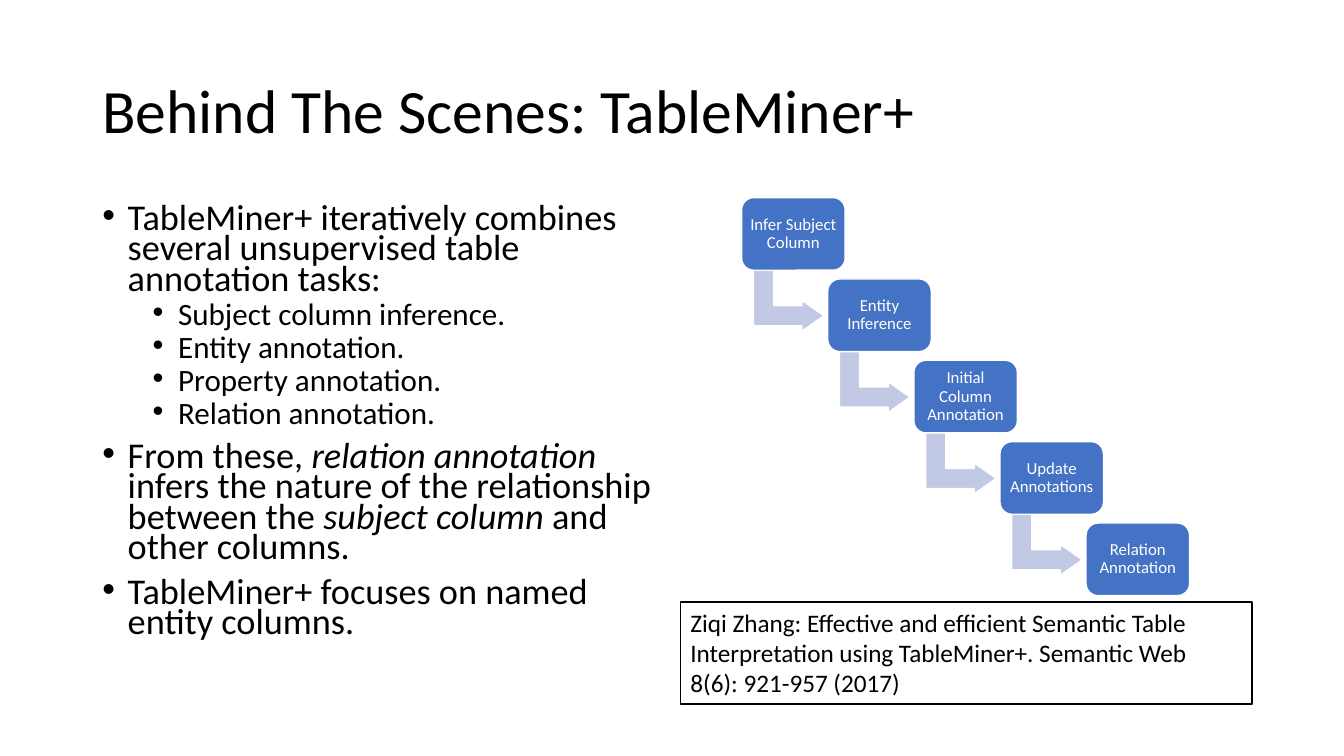
from pptx import Presentation, util as u
from pptx.dml.color import RGBColor
from pptx.enum import shapes, text
from pptx.oxml.ns import qn
from lxml import etree

BLACK = RGBColor(0, 0, 0)
WHITE = RGBColor(255, 255, 255)
BLUE = RGBColor(0x44, 0x72, 0xC4)
PALE = RGBColor(0xC1, 0xC9, 0xE4)
FONT = "Calibri"

TITLE = "Behind The Scenes: TableMiner+"
POINTS = [
    (0, ["TableMiner+ iteratively combines several unsupervised table annotation tasks:"]),
    (1, ["Subject column inference."]),
    (1, ["Entity annotation."]),
    (1, ["Property annotation."]),
    (1, ["Relation annotation."]),
    (0, ["From these, ", "relation annotation ",
         "infers the nature of the relationship between the ",
         "subject column ", "and other columns."]),
    (0, ["TableMiner+ focuses on named entity columns."]),
]
CITE = [
    "Ziqi Zhang: Effective and efficient Semantic Table",
    "Interpretation using TableMiner+. Semantic Web",
    "8(6): 921-957 (2017)",
]
STEPS = [
    "Infer Subject Column",
    "Entity Inference",
    "Initial Column Annotation",
    "Update Annotations",
    "Relation Annotation",
]
LEVELS = [(25.9, 10, 0.64), (22.2, 5, 1.91)]
HANG = 0.64
LEFT, TOP = 18.69, 4.98
WIDE, HIGH = 2.61, 1.83
STEP_X, STEP_Y = 2.17, 2.05


def write(para, runs, size, color=BLACK, space=None, before=0, align=None):
    para.alignment = align
    para.space_before = u.Pt(before)
    if space:
        para.line_spacing = space
    for i, words in enumerate(runs):
        run = para.add_run()
        run.text = words
        font = run.font
        font.name, font.size, font.italic = FONT, u.Pt(size), i % 2 == 1
        font.color.rgb = color


def bullet(para, level):
    para.level = level
    props = para._p.get_or_add_pPr()
    props.set("marL", str(u.Cm(LEVELS[level][2])))
    props.set("indent", str(-u.Cm(HANG)))
    etree.SubElement(props, qn("a:buFont")).set("typeface", "Arial")
    etree.SubElement(props, qn("a:buChar")).set("char", "•")


def lines(frame, count):
    return [frame.paragraphs[0]] + [frame.add_paragraph() for _ in range(count - 1)]


def box(slide, *spot):
    item = slide.shapes.add_textbox(*map(u.Cm, spot))
    item.text_frame.word_wrap = True
    return item


def solid(slide, kind, fill, *spot):
    item = slide.shapes.add_shape(kind, *map(u.Cm, spot))
    item.shadow.inherit = False
    item.fill.solid()
    item.fill.fore_color.rgb = fill
    item.line.color.rgb = WHITE
    item.line.width = u.Pt(1)
    return item


def stair(slide):
    for i, step in enumerate(STEPS):
        x, y = LEFT + i * STEP_X, TOP + i * STEP_Y
        if i < len(STEPS) - 1:
            arrow = solid(slide, shapes.MSO_SHAPE.BENT_UP_ARROW, PALE,
                          x + 0.41, y + 1.7, 1.55, 1.78)
            arrow.rotation = 90
            for k, size in enumerate((0.328, 0.25, 0.358)):
                arrow.adjustments[k] = size
        card = solid(slide, shapes.MSO_SHAPE.ROUNDED_RECTANGLE, BLUE, x, y, WIDE, HIGH)
        frame = card.text_frame
        frame.word_wrap = True
        frame.vertical_anchor = text.MSO_ANCHOR.MIDDLE
        frame.margin_left = frame.margin_right = u.Cm(0.13)
        frame.margin_top = frame.margin_bottom = u.Cm(0.13)
        write(frame.paragraphs[0], [step], 12, color=WHITE, space=0.9,
              align=text.PP_ALIGN.CENTER)


def main():
    deck = Presentation()
    deck.slide_width, deck.slide_height = u.Cm(33.87), u.Cm(19.05)
    slide = deck.slides.add_slide(deck.slide_layouts[6])

    head = box(slide, 2.33, 1.01, 29.21, 3.68).text_frame
    head.vertical_anchor = text.MSO_ANCHOR.MIDDLE
    write(head.paragraphs[0], [TITLE], 44, space=0.9)

    body = box(slide, 2.33, 5.07, 14.4, 12.09).text_frame
    for i, (para, (level, runs)) in enumerate(zip(lines(body, len(POINTS)), POINTS)):
        size, gap, _ = LEVELS[level]
        bullet(para, level)
        write(para, runs, size, space=0.7, before=gap if i else 0)

    cite = box(slide, 17.15, 15.17, 14.4, 2.57)
    cite.line.color.rgb = BLACK
    cite.line.width = u.Pt(1)
    for para, words in zip(lines(cite.text_frame, len(CITE)), CITE):
        write(para, [words], 18)

    stair(slide)
    deck.save("out.pptx")


if __name__ == "__main__":
    main()
